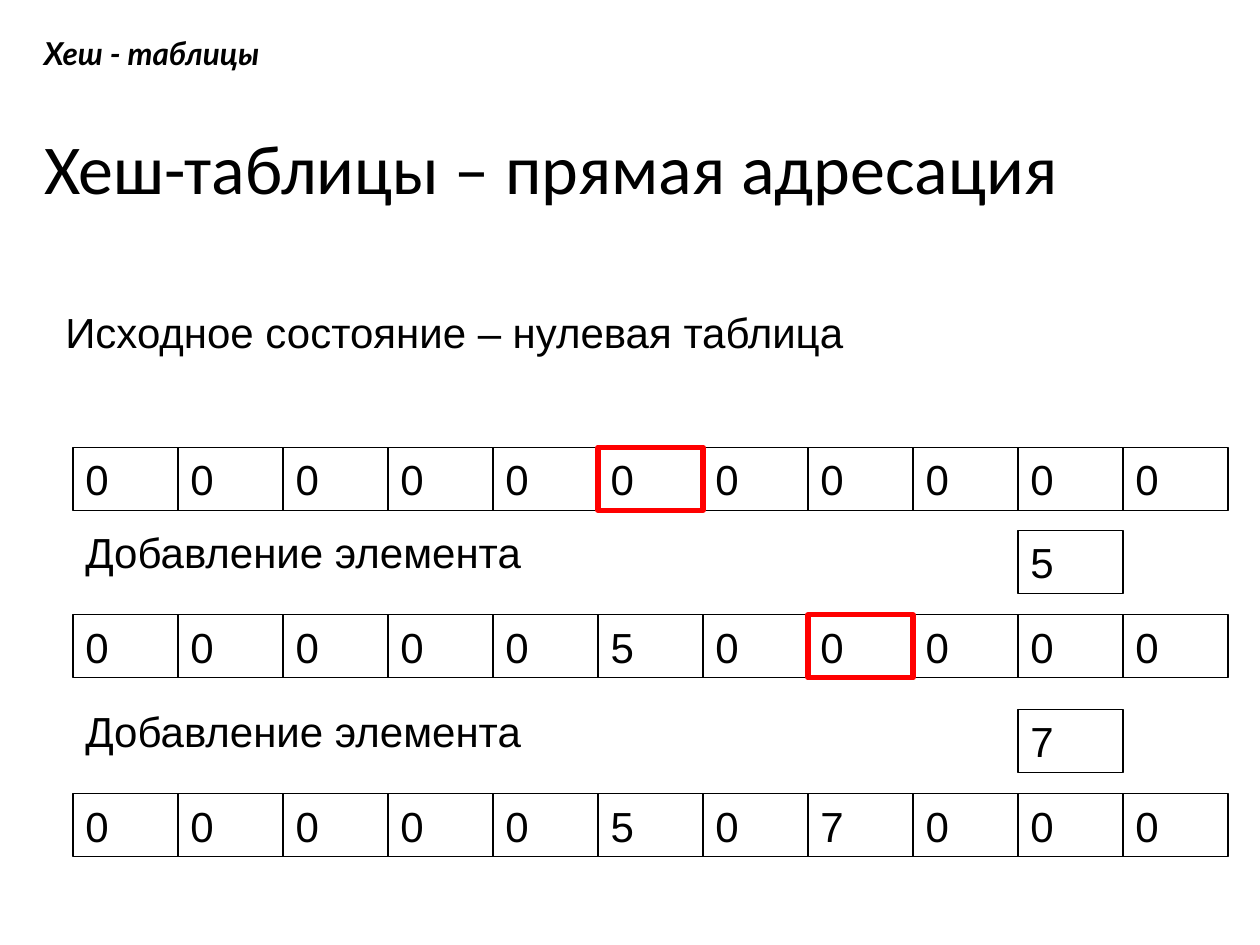
"""Builds the slide on direct addressing in hash tables."""
from dataclasses import dataclass

from pptx import Presentation
from pptx.dml.color import RGBColor
from pptx.enum.shapes import MSO_SHAPE
from pptx.enum.text import MSO_ANCHOR, PP_ALIGN
from pptx.util import Inches, Pt

RECTANGLE = MSO_SHAPE.RECTANGLE
TOP, MIDDLE = MSO_ANCHOR.TOP, MSO_ANCHOR.MIDDLE
LEFT = PP_ALIGN.LEFT


@dataclass(frozen=True)
class Theme:
    ink: RGBColor = RGBColor(0, 0, 0)
    accent: RGBColor = RGBColor(0xFF, 0, 0)
    header_font: str = "Lato"
    title_font: str = "Calibri"
    body_font: str = "Arial"
    header_size: int = 18
    title_size: int = 40
    body_size: int = 24
    thin: float = 0.75
    thick: float = 3


THEME = Theme()
TABLE_LEFT = 0.58
CELL_WIDTH = 5 / 6
CELL_HEIGHT = 0.5
ADDED_COLUMN = 9


def write(frame, text, font=THEME.body_font, size=THEME.body_size, bold=False,
          italic=False, anchor=MIDDLE, spacing=None):
    frame.word_wrap = True
    frame.vertical_anchor = anchor
    frame.text = text
    paragraph = frame.paragraphs[0]
    paragraph.alignment = LEFT
    paragraph.line_spacing = spacing
    run_font = paragraph.runs[0].font
    run_font.name, run_font.size = font, Pt(size)
    run_font.bold, run_font.italic = bold, italic
    run_font.color.rgb = THEME.ink


class HashSlide:
    def __init__(self, slide, theme):
        self.slide = slide
        self.theme = theme

    def title(self, text, left, top, width, height):
        heading = self.slide.shapes.title
        heading.left, heading.top = Inches(left), Inches(top)
        heading.width, heading.height = Inches(width), Inches(height)
        write(heading.text_frame, text, font=self.theme.title_font,
              size=self.theme.title_size, anchor=TOP, spacing=0.9)

    def label(self, text, left, top, width, height=0.5, **style):
        box = self.slide.shapes.add_textbox(
            Inches(left), Inches(top), Inches(width), Inches(height))
        write(box.text_frame, text, **style)

    def cell(self, column, top, value=None, marked=False, shapes=None):
        shapes = self.slide.shapes if shapes is None else shapes
        slot = shapes.add_shape(
            RECTANGLE, Inches(TABLE_LEFT + column * CELL_WIDTH), Inches(top),
            Inches(CELL_WIDTH), Inches(CELL_HEIGHT))
        slot.shadow.inherit = False
        slot.fill.background()
        slot.line.color.rgb = self.theme.accent if marked else self.theme.ink
        slot.line.width = Pt(self.theme.thick if marked else self.theme.thin)
        if value is not None:
            write(slot.text_frame, str(value))

    def row(self, values, top):
        group = self.slide.shapes.add_group_shape()
        for column, value in enumerate(values):
            self.cell(column, top, value, shapes=group.shapes)


def main():
    deck = Presentation()
    deck.slide_width, deck.slide_height = Inches(10), Inches(7.5)
    page = HashSlide(deck.slides.add_slide(deck.slide_layouts[5]), THEME)

    page.label("Хеш - таблицы", 0.25, 0.22, 6.34, 0.4, font=THEME.header_font,
               size=THEME.header_size, bold=True, italic=True)
    page.title("Хеш-таблицы – прямая адресация", 0.25, 1.01, 9, 1.25)
    page.label("Исходное состояние – нулевая таблица", 0.42, 2.38, 9.27)

    table = [0] * 11
    table_top = 3.55
    page.row(table, table_top)
    marks = []
    for key, label_top, next_top in ((5, 4.13, 4.88), (7, 5.55, 6.3)):
        marks.append((key, table_top))
        page.cell(ADDED_COLUMN, label_top + 0.08, key)
        page.label("Добавление элемента", TABLE_LEFT, label_top, 4)
        table[key] = key
        table_top = next_top
        page.row(table, table_top)
    for key, mark_top in marks:
        page.cell(key, mark_top, marked=True)

    deck.save("out.pptx")


if __name__ == "__main__":
    main()
